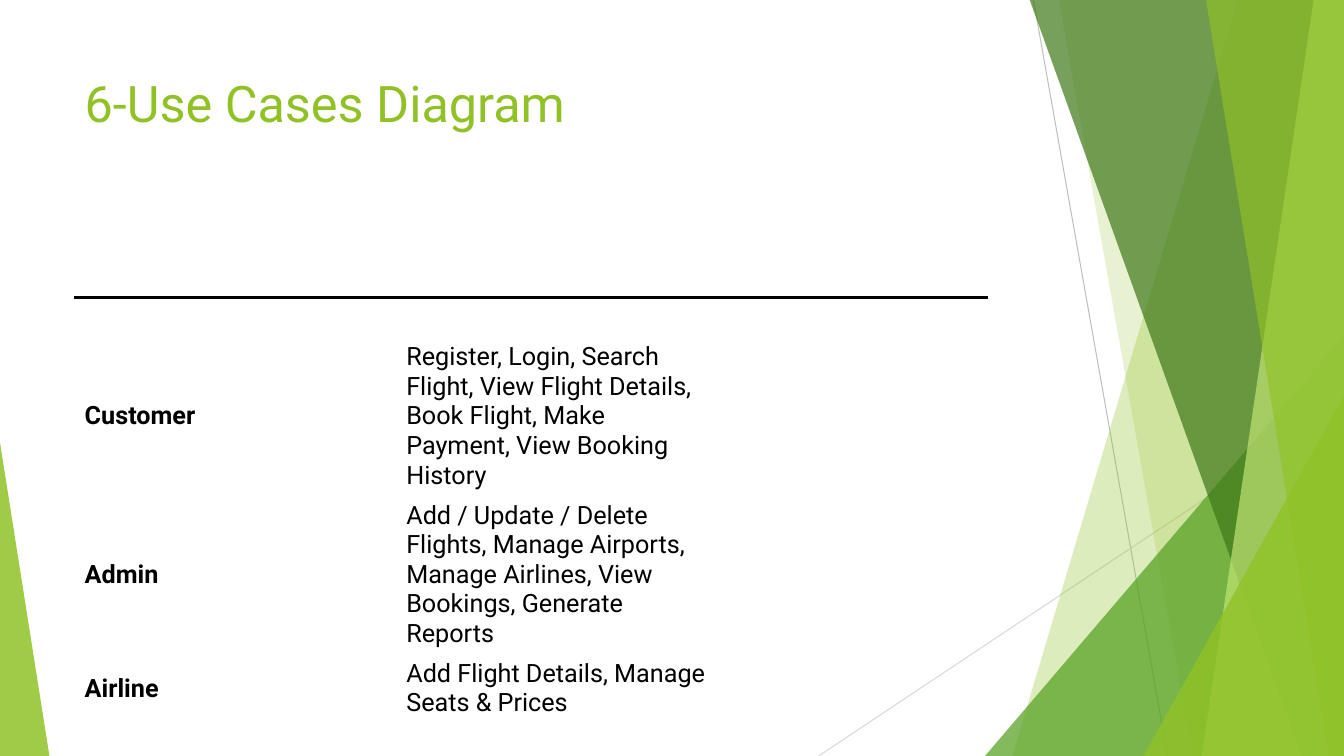
from lxml.etree import SubElement
from pptx import Presentation
from pptx.dml.color import RGBColor
from pptx.enum.shapes import MSO_CONNECTOR, MSO_SHAPE
from pptx.enum.text import MSO_ANCHOR, PP_ALIGN
from pptx.oxml.ns import qn
from pptx.util import Pt

PX = 9144
W, H = 1333, 750
FONT = "Roboto"
GREEN, BLACK = "90C226", "000000"

TITLE = "6-Use Cases Diagram"
USE_CASES = [
    ("", ""),
    ("Customer", "Register, Login, Search Flight, View Flight Details, "
                 "Book Flight, Make Payment, View Booking History"),
    ("Admin", "Add / Update / Delete Flights, Manage Airports, "
              "Manage Airlines, View Bookings, Generate Reports"),
    ("Airline", "Add Flight Details, Manage Seats & Prices"),
]
ROW_HEIGHTS = [39, 157, 157, 69]
COL_WIDTH = 319
LEFT, TABLE_TOP = 74, 294

THIN_LINES = [
    ((1025, 0), (1158, H), "BFBFBF"),
    ((W, 403), (812, H), "D9D9D9"),
]
FACETS = [
    ("band", (1228, 1004), GREEN, 30),
    ("band", (1050, 1183), GREEN, 20),
    ("triangle", (977, 333, 356, 1), "54A021", 72),
    ("band", (1021, 1291), "3F7819", 70),
    ("band", (1303, 1192), "C0E474", 70),
    ("band", (1196, 1318), GREEN, 65),
    ("triangle", (1134, 393, 199, 1), GREEN, 80),
    ("triangle", (0, 439, 49, 0), GREEN, 85),
]


def px(*values):
    return [v * PX for v in values]


def rgb(color):
    return RGBColor.from_string(color)


def paint(sp, color, opacity=100):
    sp.shadow.inherit = False
    sp.fill.solid()
    sp.fill.fore_color.rgb = rgb(color)
    sp.line.fill.background()
    if opacity < 100:
        clr = sp.fill._xPr.find(qn("a:solidFill")).find(qn("a:srgbClr"))
        SubElement(clr, qn("a:alpha")).set("val", str(opacity * 1000))


def style(p, size, color, bold=False):
    p.alignment = PP_ALIGN.LEFT
    for r in p.runs:
        r.font.name = FONT
        r.font.size = Pt(size)
        r.font.bold = bold
        r.font.color.rgb = rgb(color)


def add_band(s, top_x, bottom_x):
    fb = s.shapes.build_freeform(top_x, -1, scale=PX)
    fb.add_line_segments([(W, -1), (W, H), (bottom_x, H)], close=True)
    return fb.convert_to_shape()


def add_triangle(s, x, y, w, apex):
    sp = s.shapes.add_shape(MSO_SHAPE.ISOSCELES_TRIANGLE, *px(x, y, w, H - y))
    sp.adjustments[0] = apex
    return sp


def add_backdrop(s):
    for start, end, color in THIN_LINES:
        line = s.shapes.add_connector(MSO_CONNECTOR.STRAIGHT, *px(*start, *end))
        line.line.color.rgb = rgb(color)
        line.line.width = Pt(0.75)
        SubElement(line._element.spPr, qn("a:effectLst"))
    builders = {"band": add_band, "triangle": add_triangle}
    for kind, geometry, color, opacity in FACETS:
        paint(builders[kind](s, *geometry), color, opacity)


def add_title(s):
    title = s.shapes.title
    title.left, title.top, title.width, title.height = px(LEFT, 67, 940, 144)
    tf = title.text_frame
    tf.text = TITLE
    tf.word_wrap = True
    tf.vertical_anchor = MSO_ANCHOR.TOP
    style(tf.paragraphs[0], 36, GREEN)


def add_use_cases(s):
    frame = s.shapes.add_table(
        len(USE_CASES), 2, *px(LEFT, TABLE_TOP, 2 * COL_WIDTH, sum(ROW_HEIGHTS)))
    table = frame.table
    table.first_row = table.horz_banding = False
    for col in table.columns:
        col.width = COL_WIDTH * PX
    for row, height, texts in zip(table.rows, ROW_HEIGHTS, USE_CASES):
        row.height = height * PX
        for i, (cell, text) in enumerate(zip(row.cells, texts)):
            cell.fill.background()
            cell.vertical_anchor = MSO_ANCHOR.MIDDLE
            if text:
                cell.text_frame.text = text
                style(cell.text_frame.paragraphs[0], 18, BLACK, bold=i == 0)


def add_rule(s):
    rule = s.shapes.add_shape(MSO_SHAPE.RECTANGLE, *px(LEFT, TABLE_TOP, 905, 2))
    paint(rule, BLACK)
    rule.line.color.rgb = rgb(BLACK)
    rule.line.width = Pt(0.75)


def main():
    prs = Presentation()
    prs.slide_width, prs.slide_height = px(W, H)
    s = prs.slides.add_slide(prs.slide_layouts[5])
    add_backdrop(s)
    add_title(s)
    add_use_cases(s)
    add_rule(s)
    prs.save("out.pptx")


if __name__ == "__main__":
    main()
